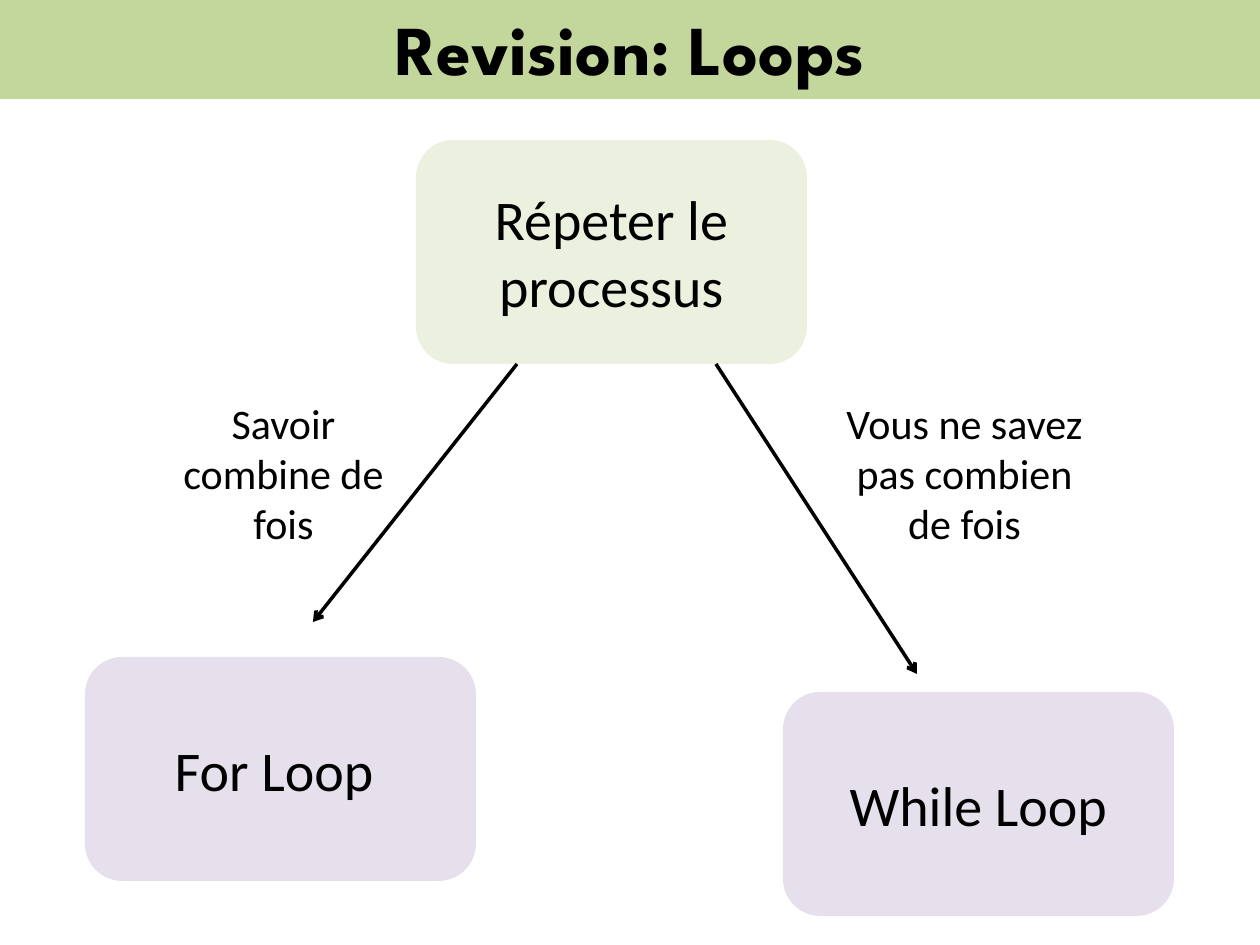
from lxml.etree import SubElement
from pptx import Presentation
from pptx.dml.color import RGBColor
from pptx.enum.shapes import MSO_CONNECTOR, MSO_SHAPE
from pptx.enum.text import MSO_ANCHOR, MSO_AUTO_SIZE, PP_ALIGN
from pptx.oxml.ns import qn
from pptx.util import Pt

COLORS = {
    "banner": "C3D69B",
    "question": "EBF1DE",
    "answer": "E6E0EC",
    "ink": "000000",
}
BOX_W, BOX_H = 391, 224
LABEL_W, LABEL_H = 265, 165


def px(*values):
    """Turn pixels (126 to the inch) into EMU."""
    return [round(v * 914400 / 126) for v in values]


def set_text(s, text, size, font="Calibri", bold=False, anchor=MSO_ANCHOR.MIDDLE):
    tf = s.text_frame
    tf.text = text
    tf.word_wrap = True
    tf.auto_size = MSO_AUTO_SIZE.NONE
    tf.vertical_anchor = anchor
    p = tf.paragraphs[0]
    p.alignment = PP_ALIGN.CENTER
    r = p.runs[0]
    r.font.name = font
    r.font.size = Pt(size)
    r.font.bold = bold
    r.font.color.rgb = RGBColor.from_string(COLORS["ink"])


prs = Presentation()
prs.slide_width, prs.slide_height = px(1260, 945)
slide = prs.slides.add_slide(prs.slide_layouts[5])

# Title banner
title = slide.shapes.title
title.left, title.top, title.width, title.height = px(0, -4, 1260, 103)
title.fill.solid()
title.fill.fore_color.rgb = RGBColor.from_string(COLORS["banner"])
set_text(title, "Revision: Loops", 40, "League Spartan", bold=True)

# Decision tree boxes; the space after "For Loop" shifts its centred text
for text, x, y, color in [
    ("Répeter le processus", 416, 140, "question"),
    ("For Loop ", 85, 657, "answer"),
    ("While Loop", 783, 692, "answer"),
]:
    s = slide.shapes.add_shape(MSO_SHAPE.ROUNDED_RECTANGLE, *px(x, y, BOX_W, BOX_H))
    s.shadow.inherit = False
    s.fill.solid()
    s.fill.fore_color.rgb = RGBColor.from_string(COLORS[color])
    s.line.fill.background()
    set_text(s, text, 32)

# Arrows from the question to each loop
for ends in [(517, 364, 313, 622), (716, 364, 917, 674)]:
    arrow = slide.shapes.add_connector(MSO_CONNECTOR.STRAIGHT, *px(*ends))
    arrow.line.color.rgb = RGBColor.from_string(COLORS["ink"])
    arrow.line.width = Pt(2)
    SubElement(arrow.line._get_or_add_ln(), qn("a:tailEnd"), type="arrow")
    SubElement(arrow._element.spPr, qn("a:effectLst"))

# Condition beside each arrow
for text, x in [
    ("Savoir combine de fois", 151),
    ("Vous ne savez pas combien de fois", 832),
]:
    label = slide.shapes.add_textbox(*px(x, 391, LABEL_W, LABEL_H))
    set_text(label, text, 24, anchor=MSO_ANCHOR.TOP)

prs.save("out.pptx")
